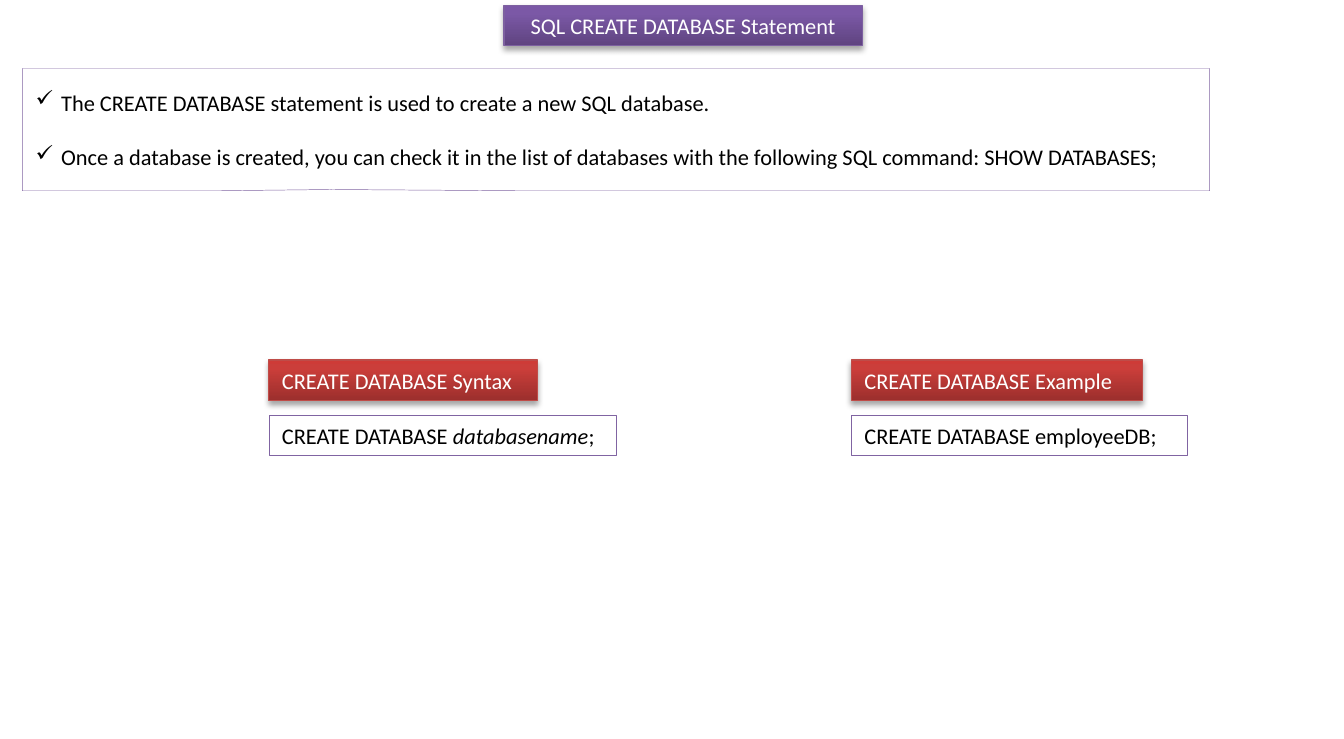
from copy import deepcopy
from dataclasses import dataclass

from lxml.etree import SubElement
from pptx import Presentation
from pptx.dml.color import RGBColor
from pptx.enum.shapes import MSO_SHAPE
from pptx.enum.text import MSO_ANCHOR, MSO_AUTO_SIZE, PP_ALIGN
from pptx.oxml.ns import qn
from pptx.util import Inches, Pt

COLUMN = Inches(10) / 60
ROW = Inches(5.5) / 55
LABEL_ROWS = 3


@dataclass(frozen=True)
class Theme:
    font: str = "Calibri"
    size: float = 12
    dark: str = "000000"
    light: str = "FFFFFF"
    outline: str = "8064A2"
    outline_width: float = 0.25
    banner_width: float = 0.75
    purple: tuple = ("5F4480", "7B58A6", "7C57A8")
    purple_edge: str = "7D60A0"
    red: tuple = ("9C2F2D", "CB3E3A", "CE3B37")
    red_edge: str = "BF4C48"
    stops: tuple = (0, 0.8, 1)


THEME = Theme()


def add_box(slide, area, edge, width, kind=MSO_SHAPE.RECTANGLE):
    left, top, columns, rows = area
    box = slide.shapes.add_shape(
        kind, round(left * COLUMN), round(top * ROW),
        round(columns * COLUMN), round(rows * ROW))
    box.shadow.inherit = False
    box.line.color.rgb = RGBColor.from_string(edge)
    box.line.width = Pt(width)
    box.text_frame.word_wrap = True
    return box


def fill_white(box):
    box.fill.solid()
    box.fill.fore_color.rgb = RGBColor.from_string(THEME.light)


def fill_gradient(box, colors):
    box.fill.gradient()
    box.fill.gradient_angle = 90
    stop_list = box._element.spPr.find(qn("a:gradFill")).find(qn("a:gsLst"))
    stop_list.append(deepcopy(stop_list[-1]))
    for stop, color, position in zip(box.fill.gradient_stops, colors, THEME.stops):
        stop.color.rgb = RGBColor.from_string(color)
        stop.position = position


def cast_shadow(box):
    effects = box._element.spPr.find(qn("a:effectLst"))
    shadow = SubElement(effects, qn("a:outerShdw"), blurRad=str(Pt(3.1)),
                        dist=str(Pt(1.8)), dir="5400000", rotWithShape="0")
    color = SubElement(shadow, qn("a:srgbClr"), val=THEME.dark)
    SubElement(color, qn("a:alpha"), val="35000")


def style(font, color):
    font.name = THEME.font
    font.size = Pt(THEME.size)
    font.color.rgb = RGBColor.from_string(color)


def write_line(box, parts, color, align=PP_ALIGN.LEFT):
    frame = box.text_frame
    frame.auto_size = MSO_AUTO_SIZE.SHAPE_TO_FIT_TEXT
    frame.vertical_anchor = MSO_ANCHOR.TOP
    line = frame.paragraphs[0]
    line.alignment = align
    for part, italic in parts:
        run = line.add_run()
        run.text = part
        style(run.font, color)
        run.font.italic = italic


def add_banner(slide, area, text, colors, edge, align=PP_ALIGN.LEFT):
    banner = add_box(slide, area, edge, THEME.banner_width)
    fill_gradient(banner, colors)
    cast_shadow(banner)
    write_line(banner, [(text, False)], THEME.light, align)


def add_statement(slide, area, parts):
    statement = add_box(slide, area, THEME.outline, THEME.outline_width)
    fill_white(statement)
    write_line(statement, parts, THEME.dark)


def add_callout(slide, area, points):
    callout = add_box(slide, area, THEME.outline, THEME.outline_width,
                      MSO_SHAPE.RECTANGULAR_CALLOUT)
    callout.adjustments[0] = -0.24
    callout.adjustments[1] = 0.49
    fill_white(callout)
    frame = callout.text_frame
    frame.vertical_anchor = MSO_ANCHOR.MIDDLE
    frame.text = "\n".join(points)
    for index, point in enumerate(frame.paragraphs):
        point.alignment = PP_ALIGN.LEFT
        if index:
            point.space_before = Pt(14.6)
        properties = point._p.get_or_add_pPr()
        properties.set("marL", str(Inches(0.19)))
        properties.set("indent", str(-Inches(0.19)))
        SubElement(properties, qn("a:buChar"), char="✓")
        for run in point.runs:
            style(run.font, THEME.dark)


def main():
    deck = Presentation()
    deck.slide_width, deck.slide_height = Inches(10), Inches(5.5)
    slide = deck.slides.add_slide(deck.slide_layouts[6])

    add_banner(slide, (22.5, 0.4, 16, LABEL_ROWS), "SQL CREATE DATABASE Statement",
               THEME.purple, THEME.purple_edge, PP_ALIGN.CENTER)
    add_callout(slide, (1, 5.1, 53, 9.1), [
        "The CREATE DATABASE statement is used to create a new SQL database.",
        "Once a database is created, you can check it in the list of databases "
        "with the following SQL command: SHOW DATABASES;",
    ])

    sections = [
        (12, "CREATE DATABASE Syntax", 12, 15.5,
         [("CREATE DATABASE ", False), ("databasename", True), (";", False)]),
        (38, "CREATE DATABASE Example", 13, 15,
         [("CREATE DATABASE employeeDB;", False)]),
    ]
    for left, heading, heading_columns, statement_columns, statement in sections:
        add_statement(slide, (left, 30.9, statement_columns, LABEL_ROWS), statement)
        add_banner(slide, (left, 26.8, heading_columns, LABEL_ROWS), heading,
                   THEME.red, THEME.red_edge)

    deck.save("out.pptx")


if __name__ == "__main__":
    main()
